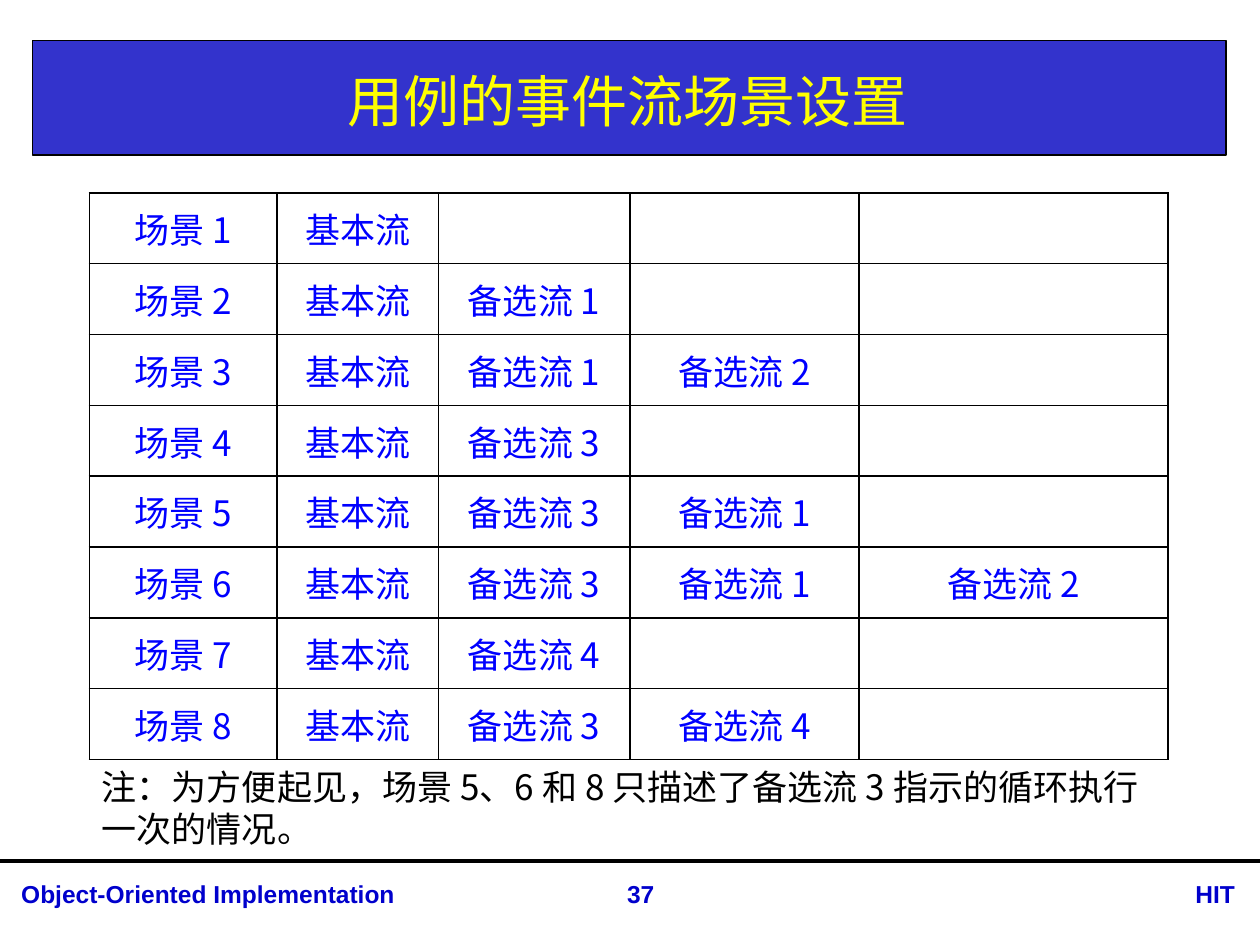
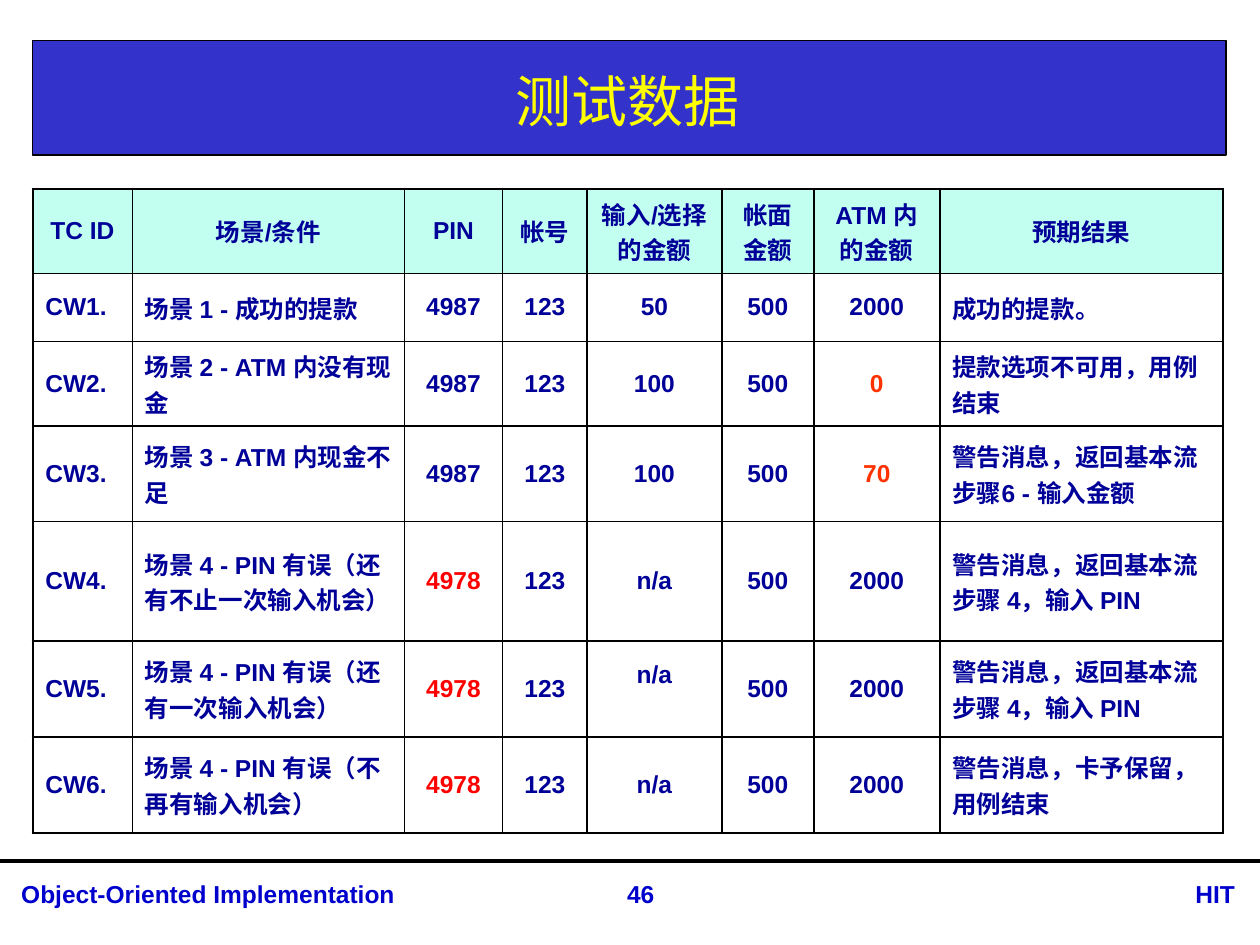
import pptx
import pptx.util
import pptx.dml.color
import pptx.enum.shapes
import pptx.enum.text
import pptx.oxml.ns
import lxml.etree

Inches, Pt = pptx.util.Inches, pptx.util.Pt
ALIGN = pptx.enum.text.PP_ALIGN
MID = pptx.enum.text.MSO_ANCHOR.MIDDLE
qn = pptx.oxml.ns.qn

# Shared look
LATIN, HAN = "Arial", "Noto Sans CJK SC"
BLACK, BAND, YELLOW = "000000", "3333CC", "FFFF00"
FOOT, BLUE, NAVY, MINT = "0000CC", "0000FF", "000099", "C2FFF0"

# Content: event-flow scenarios
FLOWS = [
    ["基本流"],
    ["基本流", "备选流 1"],
    ["基本流", "备选流 1", "备选流 2"],
    ["基本流", "备选流 3"],
    ["基本流", "备选流 3", "备选流 1"],
    ["基本流", "备选流 3", "备选流 1", "备选流 2"],
    ["基本流", "备选流 4"],
    ["基本流", "备选流 3", "备选流 4"],
]
FLOW_COLS = [1.49, 1.28, 1.52, 1.82, 2.45]
NOTE = "注：为方便起见，场景 5、6 和 8 只描述了备选流 3 指示的循环执行一次的情况。"

# Content: test data
HEAD = ["TC ID", "场景/条件", "PIN", "帐号", "输入/选择的金额",
        "帐面金额", "ATM 内的金额", "预期结果"]
CASES = [  # condition, PIN, amount asked, cash in machine, result
    ("场景 1 - 成功的提款", "4987", "50", "2000", "成功的提款。"),
    ("场景 2 - ATM 内没有现金", "4987", "100", "0", "提款选项不可用，用例结束"),
    ("场景 3 - ATM 内现金不足", "4987", "100", "70",
     "警告消息，返回基本流步骤6 - 输入金额"),
    ("场景 4 - PIN 有误（还有不止一次输入机会）", "4978", "n/a", "2000",
     "警告消息，返回基本流步骤 4，输入 PIN"),
    ("场景 4 - PIN 有误（还有一次输入机会）", "4978", "n/a", "2000",
     "警告消息，返回基本流步骤 4，输入 PIN"),
    ("场景 4 - PIN 有误（不再有输入机会）", "4978", "n/a", "2000",
     "警告消息，卡予保留，用例结束"),
]
CASE_COLS = [0.79, 2.16, 0.78, 0.67, 1.07, 0.73, 1, 2.25]
CASE_ROWS = [0.67, 0.54, 0.67, 0.76, 0.95, 0.76, 0.76]
ALERTS = {"4978": "FF0000", "0": "FF3300", "70": "FF3300"}
LEFT_COLS = (0, 1, 7)


def color(code):
    return pptx.dml.color.RGBColor.from_string(code)


def write(frame, text, size, face, ink, align=ALIGN.LEFT, bold=False):
    """Put one styled paragraph in a text frame."""
    frame.word_wrap = True
    para = frame.paragraphs[0]
    para.text = text
    para.alignment = align
    font = para.font
    font.size, font.name, font.bold = Pt(size), face, bold
    font.color.rgb = color(ink)
    props = para._p.pPr.find(qn("a:defRPr"))
    lxml.etree.SubElement(props, qn("a:ea")).set("typeface", HAN)
    return para


def add_text(slide, box, *style):
    shape = slide.shapes.add_textbox(*map(Inches, box))
    return write(shape.text_frame, *style)


def add_page(deck, title, number):
    """Make a slide with title band, rule and footers."""
    slide = deck.slides.add_slide(deck.slide_layouts[5])
    head = slide.shapes.title
    head.left, head.top, head.width, head.height = map(
        Inches, (0.26, 0.36, 9.45, 0.87))
    head.text_frame.vertical_anchor = MID
    write(head.text_frame, title, 32, HAN, YELLOW, ALIGN.CENTER)

    # Band goes behind the title
    band = slide.shapes.add_shape(
        pptx.enum.shapes.MSO_SHAPE.RECTANGLE,
        *map(Inches, (0.26, 0.32, 9.47, 0.91)))
    band.shadow.inherit = False
    band.fill.solid()
    band.fill.fore_color.rgb = color(BAND)
    band.line.color.rgb = color(BLACK)
    band.line.width = Pt(0.75)
    head._element.addprevious(band._element)

    rule = slide.shapes.add_connector(
        pptx.enum.shapes.MSO_CONNECTOR.STRAIGHT,
        *map(Inches, (0, 6.83, 10, 6.83)))
    rule.line.color.rgb = color(BLACK)
    rule.line.width = Pt(2.25)
    lxml.etree.SubElement(rule._element.spPr, qn("a:effectLst"))

    for left, width, text, align in (
            (0.07, 4.63, "Object-Oriented Implementation", ALIGN.LEFT),
            (8.87, 1.03, "HIT", ALIGN.RIGHT),
            (4.57, 1.03, str(number), ALIGN.CENTER)):
        add_text(slide, (left, 6.93, width, 0.34),
                 text, 14, LATIN, FOOT, align, True)
    return slide


def add_edge(cell, side, width):
    edge = lxml.etree.SubElement(
        cell._tc.get_or_add_tcPr(), qn("a:ln" + side), w=str(Pt(width)))
    fill = lxml.etree.SubElement(edge, qn("a:solidFill"))
    lxml.etree.SubElement(fill, qn("a:srgbClr"), val=BLACK)


def add_grid(slide, left, top, cols, rows, rim):
    """Add a plain ruled table; rim is the width of its outer lines."""
    grid = slide.shapes.add_table(
        len(rows), len(cols),
        *map(Inches, (left, top, sum(cols), sum(rows)))).table
    grid.first_row = grid.horz_banding = False
    for col, width in zip(grid.columns, cols):
        col.width = Inches(width)
    for row, height in zip(grid.rows, rows):
        row.height = Inches(height)
    for r in range(len(rows)):
        for c in range(len(cols)):
            cell = grid.cell(r, c)
            cell.vertical_anchor = MID
            outer = {"L": c == 0, "R": c == len(cols) - 1,
                     "T": r == 0, "B": r == len(rows) - 1}
            for side, edge in outer.items():
                add_edge(cell, side, rim if edge else 1)
            cell.fill.background()
    return grid


def add_flows(deck):
    slide = add_page(deck, "用例的事件流场景设置", 37)
    rows = [0.5625] * len(FLOWS)
    grid = add_grid(slide, 0.71, 1.53, FLOW_COLS, rows, 1)
    for r, flows in enumerate(FLOWS):
        for c, text in enumerate([f"场景 {r + 1}"] + flows):
            write(grid.cell(r, c).text_frame, text, 20, HAN, BLUE,
                  ALIGN.CENTER)
    note = add_text(slide, (0.71, 6.03, 8.56, 0.77), NOTE, 20, HAN, BLACK)
    note.line_spacing = Pt(24)


def add_cases(deck):
    slide = add_page(deck, "测试数据", 46)
    grid = add_grid(slide, 0.26, 1.5, CASE_COLS, CASE_ROWS, 1.5)
    table = [HEAD]
    for n, (state, pin, ask, cash, result) in enumerate(CASES, 1):
        table.append([f"CW{n}.", state, pin, "123", ask, "500", cash, result])
    for r, row in enumerate(table):
        for c, text in enumerate(row):
            cell = grid.cell(r, c)
            align = ALIGN.LEFT if r and c in LEFT_COLS else ALIGN.CENTER
            write(cell.text_frame, text, 14, LATIN,
                  ALERTS.get(text, NAVY), align, True)
            if r == 0:
                cell.fill.solid()
                cell.fill.fore_color.rgb = color(MINT)
    # The amount of CW5 sits a little higher than its row
    grid.cell(5, 4).margin_bottom = Inches(0.27)


def main():
    deck = pptx.Presentation()
    deck.slide_width, deck.slide_height = Inches(10), Inches(7.5)
    add_flows(deck)
    add_cases(deck)
    deck.save("out.pptx")


if __name__ == "__main__":
    main()
